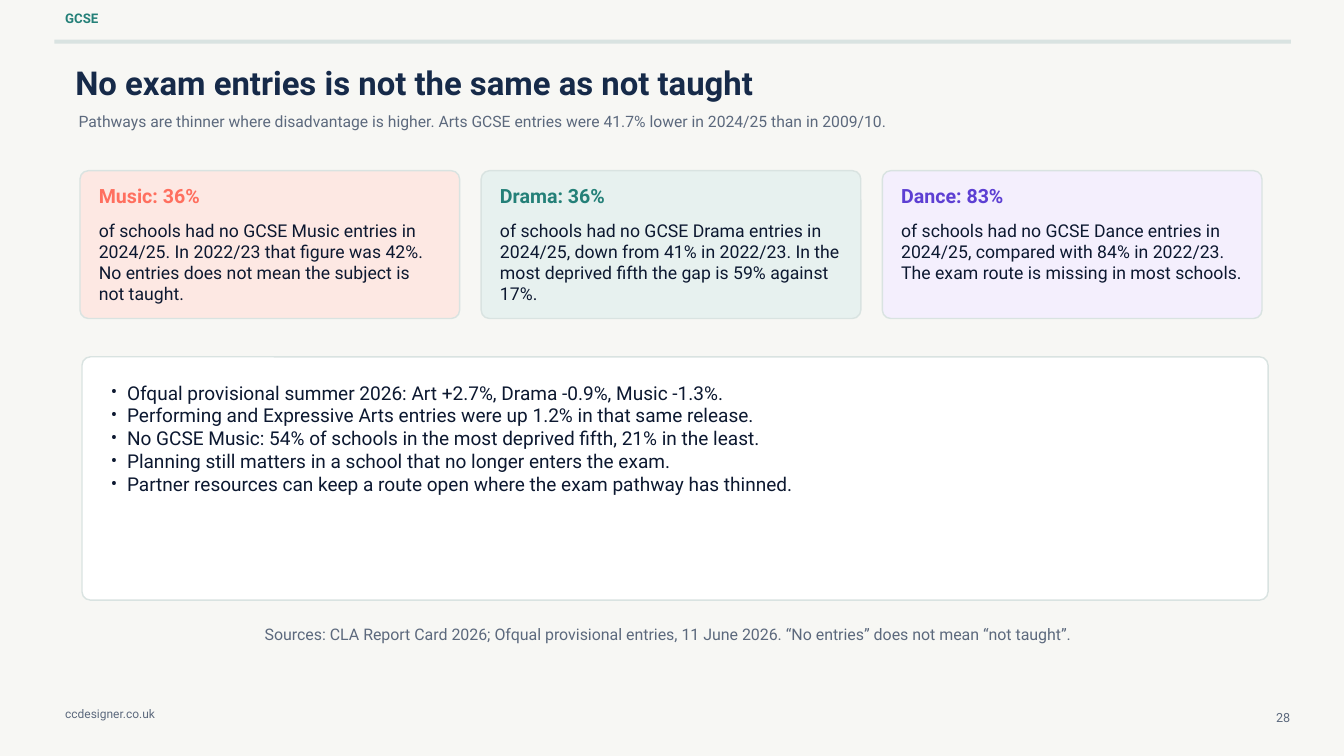
from lxml import etree
from pptx import Presentation
from pptx.dml.color import RGBColor
from pptx.enum.shapes import MSO_SHAPE
from pptx.enum.text import MSO_ANCHOR, MSO_AUTO_SIZE, PP_ALIGN
from pptx.oxml.ns import qn
from pptx.util import Inches, Pt

RECT = MSO_SHAPE.RECTANGLE
ROUNDED = MSO_SHAPE.ROUNDED_RECTANGLE
TOP = MSO_ANCHOR.TOP
NO_FIT = MSO_AUTO_SIZE.NONE
LEFT, CENTER, RIGHT = PP_ALIGN.LEFT, PP_ALIGN.CENTER, PP_ALIGN.RIGHT

FONT = "Roboto"
PAPER = RGBColor(0xF7, 0xF7, 0xF4)
WHITE = RGBColor(0xFF, 0xFF, 0xFF)
RULE = RGBColor(0xD9, 0xE3, 0xE1)
NAVY = RGBColor(0x16, 0x2A, 0x49)
INK = RGBColor(0x0C, 0x18, 0x30)
GREY = RGBColor(0x5C, 0x69, 0x7D)
CORAL = RGBColor(0xFF, 0x6F, 0x5F)
TEAL = RGBColor(0x24, 0x80, 0x78)
VIOLET = RGBColor(0x5D, 0x3F, 0xD3)
PALE_CORAL = RGBColor(0xFD, 0xE8, 0xE3)
PALE_TEAL = RGBColor(0xE7, 0xF1, 0xEF)
PALE_VIOLET = RGBColor(0xF4, 0xEF, 0xFD)

CORNER = 0.125
CARD_LEFT, CARD_TOP, CARD_WIDTH, CARD_HEIGHT = 1.19, 2.54, 5.65, 2.2
CARD_STEP = 5.97
CARD_PAD = 0.28
BULLET_INDENT = 0.24

TITLE = "No exam entries is not the same as not taught"
SUBTITLE = ("Pathways are thinner where disadvantage is higher. "
            "Arts GCSE entries were 41.7% lower in 2024/25 than in 2009/10.")
SOURCES = ("Sources: CLA Report Card 2026; Ofqual provisional entries, 11 June 2026. "
           "“No entries” does not mean “not taught”.")
CARDS = [
    ("Music: 36%", CORAL, PALE_CORAL,
     "of schools had no GCSE Music entries in 2024/25. In 2022/23 that figure was 42%. "
     "No entries does not mean the subject is not taught."),
    ("Drama: 36%", TEAL, PALE_TEAL,
     "of schools had no GCSE Drama entries in 2024/25, down from 41% in 2022/23. "
     "In the most deprived fifth the gap is 59% against 17%."),
    ("Dance: 83%", VIOLET, PALE_VIOLET,
     "of schools had no GCSE Dance entries in 2024/25, compared with 84% in 2022/23. "
     "The exam route is missing in most schools."),
]
BULLETS = [
    "Ofqual provisional summer 2026: Art +2.7%, Drama -0.9%, Music -1.3%.",
    "Performing and Expressive Arts entries were up 1.2% in that same release.",
    "No GCSE Music: 54% of schools in the most deprived fifth, 21% in the least.",
    "Planning still matters in a school that no longer enters the exam.",
    "Partner resources can keep a route open where the exam pathway has thinned.",
]


def set_attributes(target, values):
    for name, value in values.items():
        setattr(target, name, value)


def add_bullet(p):
    pPr = p._p.get_or_add_pPr()
    indent = Inches(BULLET_INDENT)
    pPr.set("marL", str(indent))
    pPr.set("indent", str(-indent))
    etree.SubElement(pPr, qn("a:buFont"), typeface=FONT)
    etree.SubElement(pPr, qn("a:buChar"), char="•")


def write_text(sp, box, lines, size, spacing, color, bold=False, align=LEFT, bullets=False):
    left, top, width, height = map(Inches, box)
    set_attributes(sp, {"left": left, "top": top, "width": width, "height": height})
    tf = sp.text_frame
    set_attributes(tf, {
        "word_wrap": True, "auto_size": NO_FIT, "vertical_anchor": TOP,
        "margin_left": 0, "margin_top": 0, "margin_right": 0, "margin_bottom": 0,
    })
    for i, line in enumerate(lines):
        p = tf.add_paragraph() if i else tf.paragraphs[0]
        if bullets:
            add_bullet(p)
        set_attributes(p, {"alignment": align, "line_spacing": Pt(spacing),
                           "space_before": Pt(0), "space_after": Pt(0)})
        r = p.add_run()
        r.text = line
        set_attributes(r.font, {"name": FONT, "size": Pt(size), "bold": bold})
        r.font.color.rgb = color


def add_text(s, box, text, size, spacing, color, **options):
    sp = s.shapes.add_textbox(*map(Inches, box))
    write_text(sp, box, [text], size, spacing, color, **options)


def add_rule(s, box):
    sp = s.shapes.add_shape(RECT, *map(Inches, box))
    sp.shadow.inherit = False
    sp.fill.solid()
    sp.fill.fore_color.rgb = RULE
    sp.line.fill.background()


def add_panel(s, box, fill):
    sp = s.shapes.add_shape(ROUNDED, *map(Inches, box))
    sp.shadow.inherit = False
    sp.adjustments[0] = CORNER / min(box[2:])
    sp.fill.solid()
    sp.fill.fore_color.rgb = fill
    sp.line.color.rgb = RULE
    sp.line.width = Pt(1.5)


def add_card(s, left, heading, accent, fill, body):
    add_panel(s, (left, CARD_TOP, CARD_WIDTH, CARD_HEIGHT), fill)
    text_left, text_width = left + CARD_PAD, 5.08
    add_text(s, (text_left, 2.73, text_width, 0.49), heading, 21, 25.2, accent, bold=True)
    add_text(s, (text_left, 3.27, text_width, 1.25), body, 18.9, 22.7, INK)


def main():
    prs = Presentation()
    prs.slide_width, prs.slide_height = Inches(20), Inches(11.25)
    s = prs.slides.add_slide(prs.slide_layouts[1])
    s.background.fill.solid()
    s.background.fill.fore_color.rgb = PAPER
    title, body = s.placeholders

    add_rule(s, (0.81, 0.59, 18.4, 0.06))
    add_text(s, (0.97, 0.15, 9.3, 0.36), "GCSE", 14.2, 17.1, TEAL, bold=True)
    write_text(title, (1.12, 0.93, 13.8, 0.72), [TITLE], 35.2, 42.3, NAVY, bold=True)
    add_text(s, (1.17, 1.67, 17.25, 0.34), SUBTITLE, 16.8, 20.1, GREY)

    for i, card in enumerate(CARDS):
        add_card(s, CARD_LEFT + i * CARD_STEP, *card)

    add_panel(s, (1.22, 5.31, 17.65, 3.62), WHITE)
    write_text(body, (1.65, 5.67, 16.8, 2.82), BULLETS, 20.4, 24.5, INK, bullets=True)
    s.shapes._spTree.append(body._element)

    add_text(s, (1.5, 9.3, 16.88, 0.66), SOURCES, 17.1, 20.5, GREY, align=CENTER)
    add_text(s, (0.97, 10.52, 3.3, 0.31), "ccdesigner.co.uk", 12.8, 15.3, GREY)
    add_text(s, (18.82, 10.56, 0.38, 0.31), "28", 13.5, 16.2, GREY, align=RIGHT)
    prs.save("out.pptx")


if __name__ == "__main__":
    main()
